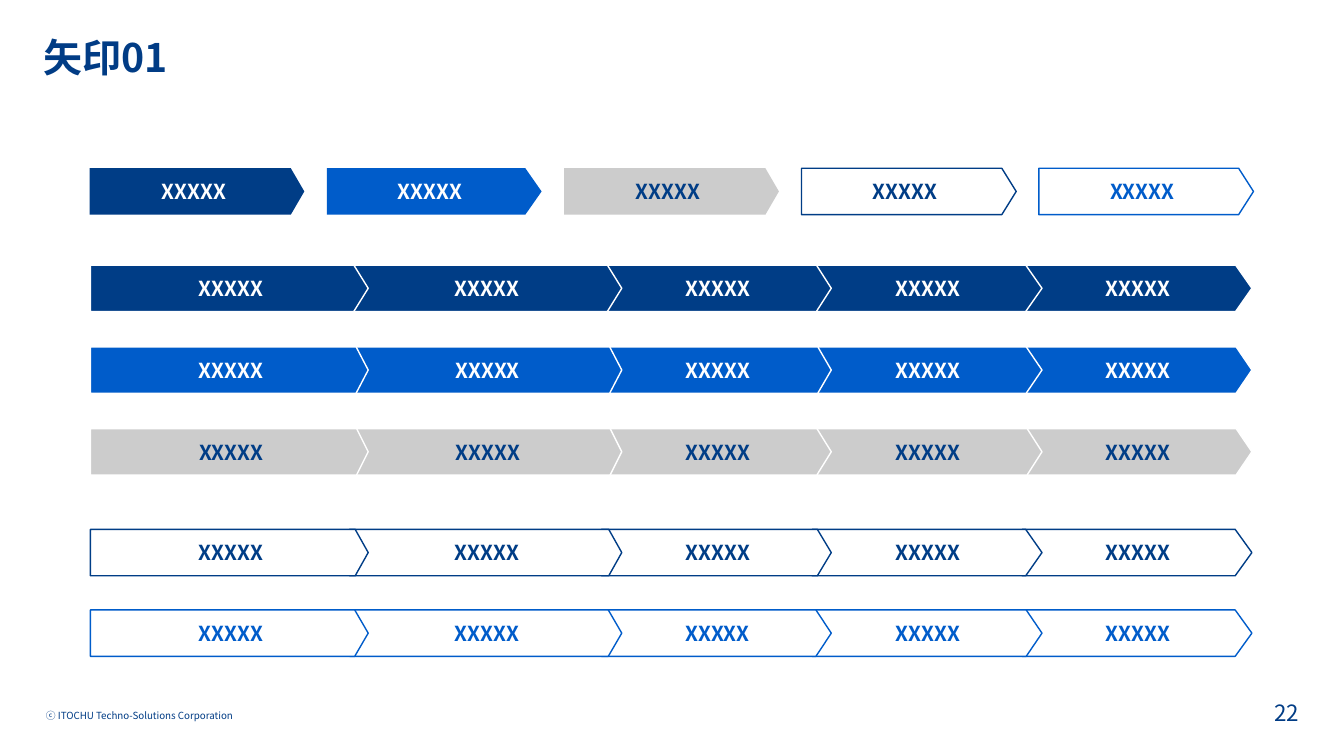
from lxml import etree
from pptx import Presentation
from pptx.dml.color import RGBColor
from pptx.enum.shapes import MSO_SHAPE
from pptx.enum.text import MSO_ANCHOR, MSO_AUTO_SIZE, PP_ALIGN
from pptx.oxml.ns import qn
from pptx.util import Cm, Pt

PENTAGON = MSO_SHAPE.PENTAGON
TOP, MIDDLE, BOTTOM = MSO_ANCHOR.TOP, MSO_ANCHOR.MIDDLE, MSO_ANCHOR.BOTTOM
LEFT, CENTER, RIGHT = PP_ALIGN.LEFT, PP_ALIGN.CENTER, PP_ALIGN.RIGHT
NO_AUTOFIT = MSO_AUTO_SIZE.NONE

COLORS = {"navy": "003D86", "blue": "005CCA", "gray": "CCCCCC",
          "white": "FFFFFF", "ink": "013C85"}
FONT = "Noto Sans CJK JP"
LABEL = "XXXXX"
ARROW_HEIGHT = 1.17

SINGLE_LEFT, SINGLE_TOP, SINGLE_WIDTH, SINGLE_STEP = 2.26, 4.24, 5.41, 5.98
SINGLES = [
    ("navy", None, "white", 0.29),
    ("blue", None, "white", 0.35),
    ("gray", None, "navy", 0.29),
    (None, "navy", "navy", 0.31),
    (None, "blue", "blue", 0.32),
]

STEPS = [(2.28, 7), (8.81, 6.86), (15.16, 5.79), (20.47, 5.79), (25.76, 5.79)]
CHAINS = [
    (6.68, "navy", "white", "white", (0.31, 0.31, 0.32, 0.35, 0.35)),
    (8.74, "blue", "white", "white", (0.26, 0.26, 0.29, 0.34, 0.34)),
    (10.8, "gray", "white", "navy", (0.25, 0.25, 0.31, 0.32, 0.34)),
    (13.34, "white", "navy", "navy", (0.28, 0.28, 0.3, 0.35, 0.36)),
    (15.37, "white", "blue", "blue", (0.29, 0.29, 0.33, 0.34, 0.36)),
]


class ArrowSlide:
    """Holds the slide and draws its elements in one style."""

    def __init__(self, presentation):
        self.slide = presentation.slides.add_slide(presentation.slide_layouts[5])

    def color(self, name):
        return RGBColor.from_string(COLORS[name])

    def label(self, frame, wording, size, color, align, bold=False):
        frame.text = wording
        frame.word_wrap = True
        paragraph = frame.paragraphs[0]
        paragraph.alignment = align
        for run in paragraph.runs:
            run.font.size = Pt(size)
            run.font.bold = bold
            run.font.name = FONT
            run.font.color.rgb = self.color(color)
            east_asian = etree.SubElement(run.font._element, qn("a:ea"))
            east_asian.set("typeface", FONT)

    def inset(self, frame, left, right, bottom=0):
        frame.margin_left, frame.margin_right = Cm(left), Cm(right)
        frame.margin_top, frame.margin_bottom = 0, Cm(bottom)

    def title(self, wording):
        heading = self.slide.shapes.title
        heading.left, heading.top = Cm(1.09), Cm(0.97)
        heading.width, heading.height = Cm(26), Cm(1.2)
        frame = heading.text_frame
        self.label(frame, wording, 28, "ink", LEFT, bold=True)
        self.inset(frame, 0, 0, 0.13)
        frame.auto_size = NO_AUTOFIT
        frame.vertical_anchor = MIDDLE
        frame.paragraphs[0].line_spacing = 0.9

    def footer(self, wording, left, top, height, size, align, anchor):
        box = self.slide.shapes.add_textbox(Cm(left), Cm(top), Cm(7.62), Cm(height))
        self.label(box.text_frame, wording, size, "ink", align)
        box.text_frame.vertical_anchor = anchor

    def arrow(self, shapes, left, top, width, fill, line, ink, point, indent=0.41):
        arrow = shapes.add_shape(PENTAGON, Cm(left), Cm(top), Cm(width), Cm(ARROW_HEIGHT))
        arrow.adjustments[0] = point
        arrow.shadow.inherit = False
        if fill:
            arrow.fill.solid()
            arrow.fill.fore_color.rgb = self.color(fill)
        else:
            arrow.fill.background()
        if line:
            arrow.line.color.rgb = self.color(line)
            arrow.line.width = Pt(1)
        else:
            arrow.line.fill.background()
        self.label(arrow.text_frame, LABEL, 14.7, ink, CENTER, bold=True)
        self.inset(arrow.text_frame, indent, 0.41)
        arrow.text_frame.vertical_anchor = MIDDLE

    def singles(self):
        for index, style in enumerate(SINGLES):
            self.arrow(self.slide.shapes, SINGLE_LEFT + index * SINGLE_STEP,
                       SINGLE_TOP, SINGLE_WIDTH, *style)

    def chain(self, top, fill, line, ink, points):
        group = self.slide.shapes.add_group_shape()
        for (left, width), point in reversed(list(zip(STEPS, points))):
            self.arrow(group.shapes, left, top, width, fill, line, ink, point, 0.66)


def main():
    presentation = Presentation()
    presentation.slide_width, presentation.slide_height = Cm(33.87), Cm(19.05)
    page = ArrowSlide(presentation)
    page.title("矢印01")
    page.footer("ⓒ ITOCHU Techno-Solutions Corporation", 0.91, 17.75, 0.91, 7, LEFT, TOP)
    page.footer("22", 25.37, 17.58, 0.84, 16, RIGHT, BOTTOM)
    page.singles()
    for chain in CHAINS:
        page.chain(*chain)
    presentation.save("out.pptx")


if __name__ == "__main__":
    main()
